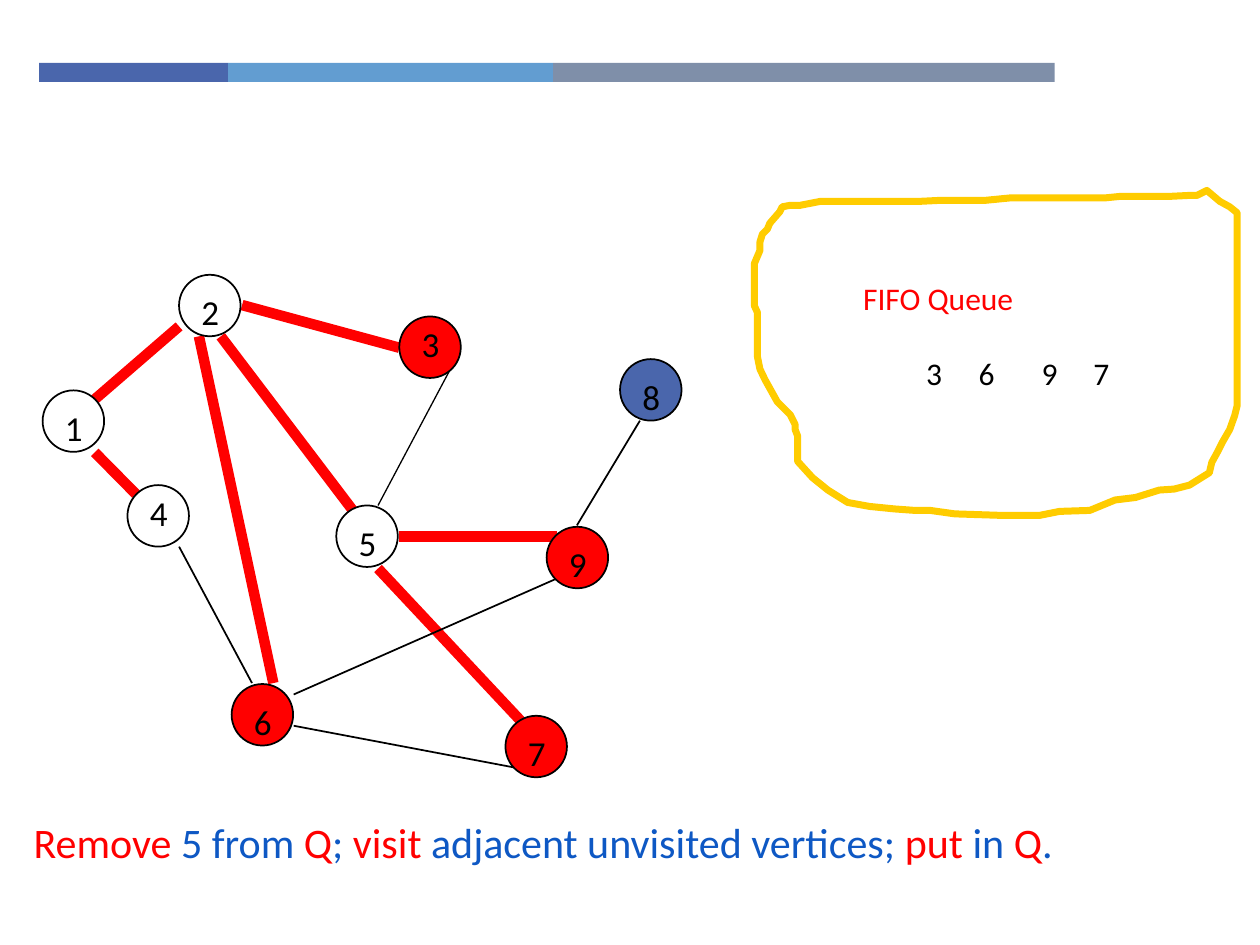
import pptx
import pptx.util
import pptx.dml.color
import pptx.enum.shapes
import pptx.enum.text
import pptx.oxml.ns
from lxml import etree

Cm = pptx.util.Cm
Pt = pptx.util.Pt
RGBColor = pptx.dml.color.RGBColor
MSO_SHAPE = pptx.enum.shapes.MSO_SHAPE

BLACK = RGBColor(0x00, 0x00, 0x00)
WHITE = RGBColor(0xFF, 0xFF, 0xFF)
RED = RGBColor(0xFF, 0x00, 0x00)
INDIGO = RGBColor(0x4A, 0x66, 0xAC)
SKY = RGBColor(0x62, 0x9D, 0xD1)
SLATE = RGBColor(0x7F, 0x8F, 0xA9)
BLUE = RGBColor(0x0E, 0x58, 0xC4)
GOLD = RGBColor(0xFF, 0xCC, 0x00)

BANNER = [(3.81, INDIGO), (6.55, SKY), (10.11, SLATE)]

VERTICES = [
    ("1", 0.86, 7.87, WHITE, 0.2),
    ("2", 3.61, 5.54, WHITE, 0.2),
    ("3", 8.05, 6.38, RED, 0),
    ("4", 2.57, 9.78, WHITE, 0),
    ("5", 6.78, 10.19, WHITE, 0.2),
    ("6", 4.67, 13.79, RED, 0.2),
    ("7", 10.19, 14.43, RED, 0.2),
    ("8", 12.5, 7.24, INDIGO, 0.2),
    ("9", 11.02, 10.62, RED, 0.2),
]
DIAMETER = 1.24

TREE_EDGES = [
    (3.61, 6.58, 1.91, 8.05),
    (4.45, 6.78, 7.19, 10.39),
    (1.91, 9.12, 2.74, 9.96),
    (7.62, 11.46, 10.59, 14.63),
    (8.05, 10.82, 11.23, 10.82),
    (4.88, 6.15, 8.05, 7.01),
    (4.01, 6.78, 5.51, 13.77),
]
OTHER_EDGES = [
    (3.61, 11.02, 5.08, 13.77, 1),
    (5.92, 14.63, 10.36, 15.47, 1),
    (9.09, 7.42, 7.62, 10.19, 0.75),
    (12.9, 8.48, 11.63, 10.59, 1),
    (5.92, 14, 11.23, 11.66, 1),
]

QUEUE = [("3", 18.42), ("6", 19.48), ("9", 20.75), ("7", 21.79)]

QUEUE_OUTLINE = [
    (2433, 384), (2413, 394), (2398, 394), (2357, 396), (2258, 396),
    (2228, 399), (2037, 399), (1986, 404), (1895, 404), (1854, 406),
    (1654, 406), (1613, 414), (1593, 414), (1577, 417), (1572, 427),
    (1552, 450), (1547, 462), (1537, 472), (1532, 488), (1532, 505),
    (1521, 531), (1521, 617), (1527, 630), (1527, 719), (1532, 744),
    (1542, 765), (1557, 792), (1567, 810), (1593, 836), (1603, 856),
    (1603, 866), (1608, 879), (1608, 930), (1638, 963), (1669, 988),
    (1709, 1013), (1753, 1021), (1803, 1026), (1844, 1029), (1875, 1029),
    (1925, 1036), (2017, 1039), (2096, 1039), (2136, 1031), (2197, 1029),
    (2248, 1008), (2289, 1003), (2337, 988), (2367, 986), (2398, 978),
    (2438, 953), (2443, 932), (2454, 912), (2464, 892), (2479, 866),
    (2489, 838), (2494, 818), (2494, 429), (2479, 417), (2459, 406),
]

CAPTION = [
    ("Remove", RED), (" 5 from ", BLUE), ("Q", RED), ("; ", BLUE),
    ("visit", RED), (" adjacent unvisited vertices; ", BLUE),
    ("put", RED), (" in ", BLUE), ("Q", RED), (".", BLUE),
]


def add_text(slide, runs, *, left, top, width, height, size):
    box = slide.shapes.add_textbox(Cm(left), Cm(top), Cm(width), Cm(height))
    box.text_frame.word_wrap = True
    paragraph = box.text_frame.paragraphs[0]
    paragraph.alignment = pptx.enum.text.PP_ALIGN.LEFT
    for text, color in runs:
        run = paragraph.add_run()
        run.text = text
        run.font.name = "Calibri"
        run.font.size = Pt(size)
        run.font.color.rgb = color


def add_filled(slide, kind, left, top, width, height, fill):
    shape = slide.shapes.add_shape(kind, Cm(left), Cm(top), Cm(width), Cm(height))
    shape.shadow.inherit = False
    shape.fill.solid()
    shape.fill.fore_color.rgb = fill
    shape.line.fill.background()
    return shape


def set_line(shape, color, weight):
    shape.line.color.rgb = color
    shape.line.width = Pt(weight)


def add_edge(slide, start_x, start_y, end_x, end_y, color, weight):
    edge = slide.shapes.add_connector(
        pptx.enum.shapes.MSO_CONNECTOR.STRAIGHT,
        Cm(start_x), Cm(start_y), Cm(end_x), Cm(end_y))
    set_line(edge, color, weight)
    etree.SubElement(edge.element.spPr, pptx.oxml.ns.qn("a:effectLst"))


def add_banner(slide):
    left = 0.79
    for width, color in BANNER:
        add_filled(slide, MSO_SHAPE.RECTANGLE, left, 1.27, width, 0.38, color)
        left += width


def add_graph(slide):
    for edge in TREE_EDGES:
        add_edge(slide, *edge, RED, 6)
    for *ends, weight in OTHER_EDGES:
        add_edge(slide, *ends, BLACK, weight)
    for label, left, top, fill, drop in VERTICES:
        vertex = add_filled(slide, MSO_SHAPE.OVAL, left, top, DIAMETER, DIAMETER, fill)
        set_line(vertex, BLACK, 1)
        add_text(slide, [(label, BLACK)], left=left + 0.2, top=top + drop,
                 width=0.64, height=1.09, size=20)


def add_queue(slide):
    builder = slide.shapes.build_freeform(*QUEUE_OUTLINE[0], scale=Cm(0.01))
    builder.add_line_segments(QUEUE_OUTLINE[1:], close=True)
    outline = builder.convert_to_shape()
    outline.shadow.inherit = False
    outline.fill.background()
    set_line(outline, GOLD, 4)
    etree.SubElement(outline.line._get_or_add_ln(), pptx.oxml.ns.qn("a:round"))
    add_text(slide, [("FIFO Queue", RED)], left=17.15, top=5.51,
             width=7.82, height=2.18, size=18)
    for label, left in QUEUE:
        add_text(slide, [(label, BLACK)], left=left, top=7.01,
                 width=1.07, height=1.6, size=18)


def main():
    presentation = pptx.Presentation()
    presentation.slide_width = Cm(25.4)
    presentation.slide_height = Cm(19.05)
    slide = presentation.slides.add_slide(presentation.slide_layouts[6])
    add_banner(slide)
    add_graph(slide)
    add_queue(slide)
    add_text(slide, CAPTION, left=0.43, top=16.33, width=24.97, height=1.98, size=24)
    presentation.save("out.pptx")


if __name__ == "__main__":
    main()
